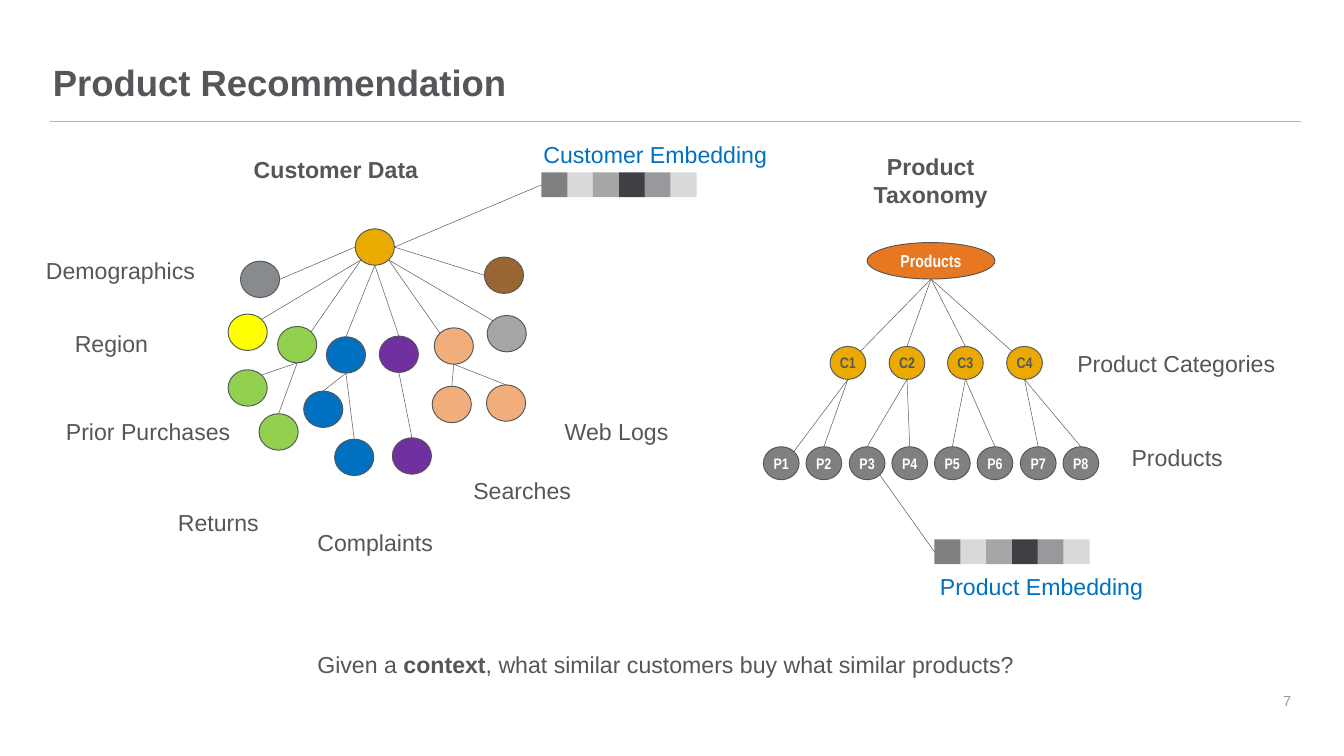
"""Build the product recommendation slide with its customer and product trees."""
import pptx
import pptx.util
import pptx.dml.color
import pptx.enum.shapes
import pptx.enum.text
import pptx.oxml

PX = 9144
SHAPE = pptx.enum.shapes.MSO_SHAPE
ALIGN = pptx.enum.text.PP_ALIGN
ANCHOR = pptx.enum.text.MSO_ANCHOR
FIT = pptx.enum.text.MSO_AUTO_SIZE

THEME = {
    "ink": "55565A", "rule": "B1B3B3", "page": "999A9B", "link": "0070C0",
    "white": "FFFFFF", "gold": "EAAA00", "green": "92D050", "violet": "7030A0",
    "brown": "996633", "yellow": "FFFF00", "blue": "0070C0", "slate": "888B8D",
    "peach": "F1AD7A", "silver": "A6A6A6", "orange": "E87722", "gray": "808080",
    "font": "Arial", "narrow": "Arial Narrow",
    "title": 38.2, "body": 24.2, "foot": 15.3, "top": 18, "node": 16,
    "thin": 0.5, "edge": 1,
    "cells": ["808080", "D9D9D9", "A6A6A6", "404044", "98999D", "D9D9D9"],
}

TITLE = "Product Recommendation"
HEADS = [
    ("Customer Data", 358, 221, 262, 51),
    ("Product\nTaxonomy", 1261, 217, 187, 92),
]
LABELS = [
    ("Demographics", 57, 368, 239),
    ("Region", 99, 474, 128),
    ("Prior Purchases", 86, 602, 262),
    ("Returns", 249, 735, 139),
    ("Complaints", 452, 764, 190),
    ("Searches", 679, 688, 164),
    ("Web Logs", 812, 603, 173),
    ("Product Categories", 1558, 504, 311),
    ("Products", 1637, 640, 154),
]
BLUES = [
    ("Customer Embedding", 781, 199, 349),
    ("Product Embedding", 1358, 828, 319),
]
ASK = [("Given a ", False), ("context", True),
       (", what similar customers buy what similar products?", False)]

DOTS = {
    "root": (517, 333, "gold"), "people": (350, 380, "slate"),
    "region": (332, 457, "yellow"), "buy": (404, 475, "green"),
    "buy 1": (332, 538, "green"), "buy 2": (377, 602, "green"),
    "return": (475, 490, "blue"), "return 1": (442, 569, "blue"),
    "return 2": (487, 639, "blue"), "gripe": (552, 489, "violet"),
    "gripe 1": (571, 637, "violet"), "search": (632, 477, "peach"),
    "search 1": (629, 562, "peach"), "search 2": (708, 560, "peach"),
    "web": (709, 459, "silver"), "log": (705, 374, "brown"),
}
LINKS = [
    ("root", "l", "people", "r"), ("root", "r", "log", "l"),
    ("root", "bl", "region", "tr"), ("root", "bl", "buy", "tr"),
    ("root", "b", "return", "t"), ("root", "b", "gripe", "t"),
    ("root", "br", "search", "tl"), ("root", "br", "web", "tl"),
    ("buy", "b", "buy 1", "tr"), ("buy", "b", "buy 2", "t"),
    ("return", "b", "return 1", "t"), ("return", "b", "return 2", "t"),
    ("gripe", "b", "gripe 1", "t"),
    ("search", "b", "search 1", "t"), ("search", "b", "search 2", "t"),
]
CATS = [("C1", "tr"), ("C2", "t"), ("C3", "t"), ("C4", "tl")]
ITEMS = [("P1", "tr")] + [(f"P{n}", "t") for n in range(2, 9)]


def rgb(name):
    return pptx.dml.color.RGBColor.from_string(THEME.get(name, name))


def style(para, size, color, bold=False, face="font"):
    for run in para.runs:
        run.font.size = pptx.util.Pt(THEME[size])
        run.font.name = THEME[face]
        run.font.bold = bold
        run.font.color.rgb = rgb(color)


def label(host, text, x, y, w, h=51, color="ink", bold=False,
          align=ALIGN.LEFT, size="body"):
    box = host.add_textbox(x * PX, y * PX, w * PX, h * PX)
    frame = box.text_frame
    frame.text = text
    frame.word_wrap = False
    frame.auto_size = FIT.SHAPE_TO_FIT_TEXT
    for para in frame.paragraphs:
        para.alignment = align
        style(para, size, color, bold)
    return frame


def solid(host, kind, x, y, w, h, color):
    shape = host.add_shape(kind, x * PX, y * PX, w * PX, h * PX)
    shape.shadow.inherit = False
    shape.fill.solid()
    shape.fill.fore_color.rgb = rgb(color)
    shape.line.fill.background()
    return shape


def oval(host, x, y, w, h, color, text="", ink="white", size="node"):
    shape = solid(host, SHAPE.OVAL, x, y, w, h, color)
    shape.line.color.rgb = rgb("ink")
    shape.line.width = pptx.util.Pt(THEME["edge"])
    if text:
        frame = shape.text_frame
        frame.text = text
        frame.word_wrap = False
        frame.vertical_anchor = ANCHOR.MIDDLE
        frame.margin_left = frame.margin_right = 13 * PX
        frame.margin_top = frame.margin_bottom = 6 * PX
        frame.paragraphs[0].alignment = ALIGN.CENTER
        style(frame.paragraphs[0], size, ink, True, "narrow")
    return shape


def site(shape, side):
    reach = 0.71 if len(side) == 2 else 1
    across = ("r" in side) - ("l" in side)
    down = ("b" in side) - ("t" in side)
    return (round(shape.left + shape.width * (1 + reach * across) / 2),
            round(shape.top + shape.height * (1 + reach * down) / 2))


def line(host, start, end, color="ink", width="thin"):
    wire = host.add_connector(pptx.enum.shapes.MSO_CONNECTOR.STRAIGHT, *start, *end)
    wire.line.color.rgb = rgb(color)
    wire.line.width = pptx.util.Pt(THEME[width])
    props = wire._element.spPr
    props.append(props.makeelement(pptx.oxml.ns.qn("a:effectLst"), {}))
    return wire


def vector(shapes, x, y, start):
    group = shapes.add_group_shape().shapes
    cells = [solid(group, SHAPE.RECTANGLE, x + round(i * 37.6), y, 38, 36, color)
             for i, color in enumerate(THEME["cells"])]
    line(shapes, start, site(cells[0], "l")).end_connect(cells[0], 1)


def people(shapes):
    group = shapes.add_group_shape().shapes
    dots = {name: oval(group, x, y, 57, 53, color)
            for name, (x, y, color) in DOTS.items()}
    for a, out, b, into in LINKS:
        line(group, site(dots[a], out), site(dots[b], into))
    return dots["root"]


def row(group, names, x, last, y, color, ink):
    step = (last - x) / (len(names) - 1)
    return [oval(group, round(x + i * step), y, 52, 48, color, name, ink)
            for i, (name, _) in enumerate(names)]


def goods(shapes):
    group = shapes.add_group_shape().shapes
    top = oval(group, 1262, 353, 186, 53, "orange", "Products", size="top")
    cats = row(group, CATS, 1208, 1465, 504, "gold", "ink")
    items = row(group, ITEMS, 1111, 1547, 650, "gray", "white")
    for cat, (_, side) in zip(cats, CATS):
        line(group, site(top, "b"), site(cat, side))
    for i, (item, (_, side)) in enumerate(zip(items, ITEMS)):
        line(group, site(cats[i // 2], "b"), site(item, side))
    return items[2]


def header(slide):
    title = slide.shapes.title
    title.left, title.top, title.width, title.height = (
        67 * PX, 84 * PX, 1822 * PX, 89 * PX)
    frame = title.text_frame
    frame.text = TITLE
    frame.auto_size = FIT.NONE
    frame.vertical_anchor = ANCHOR.TOP
    frame.margin_left = frame.margin_right = 10 * PX
    frame.margin_top = frame.margin_bottom = 10 * PX
    para = frame.paragraphs[0]
    para.alignment = ALIGN.LEFT
    para.line_spacing = 0.9
    style(para, "title", "ink", True)
    line(slide.shapes, (73 * PX, 177 * PX), (1894 * PX, 177 * PX), "rule", "edge")


def main():
    deck = pptx.Presentation()
    deck.slide_width, deck.slide_height = 1956 * PX, 1100 * PX
    slide = deck.slides.add_slide(deck.slide_layouts[5])
    shapes = slide.shapes
    header(slide)
    vector(shapes, 788, 251, site(people(shapes), "r"))
    vector(shapes, 1360, 785, site(goods(shapes), "br"))
    for head in HEADS:
        label(shapes, *head, bold=True, align=ALIGN.CENTER)
    for item in LABELS:
        label(shapes, *item)
    for item in BLUES:
        label(shapes, *item, color="link")
    para = label(shapes, "", 452, 941, 1044).paragraphs[0]
    for text, bold in ASK:
        para.add_run().text = text
    style(para, "body", "ink")
    for run, (_, bold) in zip(para.runs, ASK):
        run.font.bold = bold
    page = label(shapes, "7", 1772, 977, 117, 84, "page", False, ALIGN.RIGHT, "foot")
    page.auto_size = FIT.NONE
    page.word_wrap = True
    page.vertical_anchor = ANCHOR.MIDDLE
    deck.save("out.pptx")


if __name__ == "__main__":
    main()
